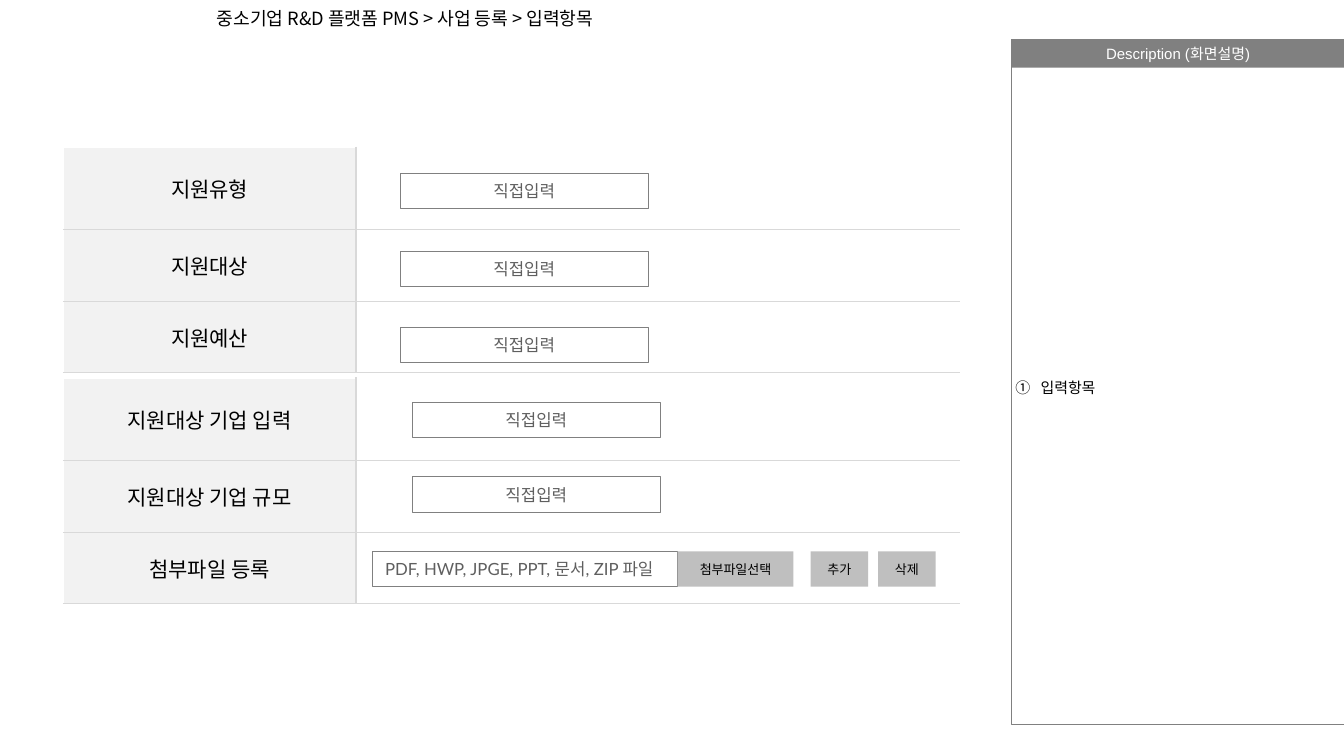
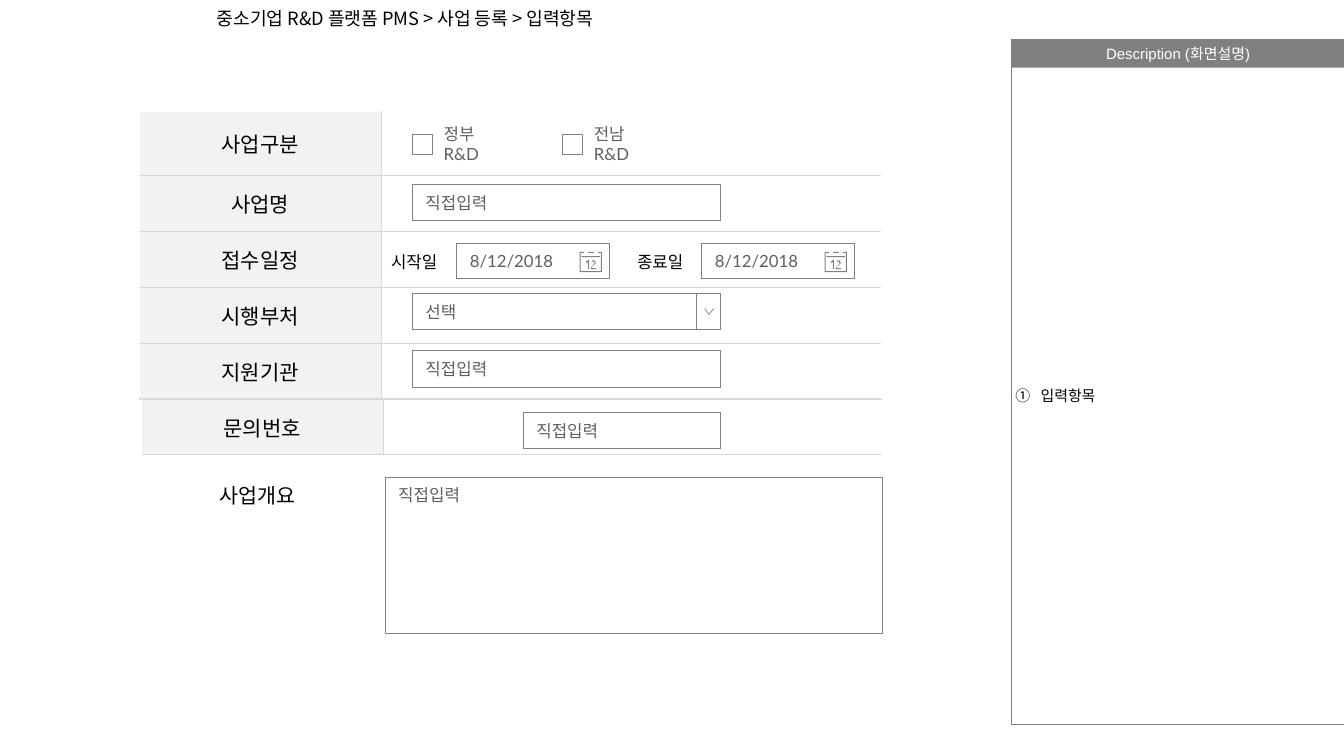
import pptx
import pptx.dml.color
import pptx.enum.shapes
import pptx.enum.text
import pptx.oxml
import pptx.oxml.ns
import pptx.util
from lxml import etree

Inches = pptx.util.Inches
Pt = pptx.util.Pt
RGBColor = pptx.dml.color.RGBColor
ALIGN = pptx.enum.text.PP_ALIGN
ANCHOR = pptx.enum.text.MSO_ANCHOR
RECTANGLE = pptx.enum.shapes.MSO_SHAPE.RECTANGLE
qn = pptx.oxml.ns.qn

BLACK = RGBColor(0x00, 0x00, 0x00)
WHITE = RGBColor(0xFF, 0xFF, 0xFF)
GRAY = RGBColor(0x80, 0x80, 0x80)
FIELD_TEXT = RGBColor(0x5F, 0x5F, 0x5F)
LABEL_FILL = RGBColor(0xF2, 0xF2, 0xF2)
BUTTON_FILL = RGBColor(0xBF, 0xBF, 0xBF)
TABLE_LINE = RGBColor(0xD9, 0xD9, 0xD9)
KOREAN_FONT = "Noto Sans CJK KR"
FIELD_FONT = "Lato"

BREADCRUMB = "중소기업 R&D 플랫폼 PMS > 사업 등록 > 입력항목"
ENTER = "직접입력"


def set_text(frame, text, size, color=BLACK, font=KOREAN_FONT, align=ALIGN.LEFT,
             anchor=ANCHOR.MIDDLE):
    """Fill a text frame with one paragraph and format it for Latin and Korean."""
    frame.text = text
    frame.vertical_anchor = anchor
    paragraph = frame.paragraphs[0]
    paragraph.alignment = align
    for run in paragraph.runs:
        run.font.size = Pt(size)
        run.font.color.rgb = color
        run.font.name = font
        properties = run._r.get_or_add_rPr()
        etree.SubElement(properties, qn("a:ea"), typeface=KOREAN_FONT)


def add_box(slide, position, text="", fill=WHITE, line=GRAY, weight=0.5, size=12,
            color=FIELD_TEXT, font=FIELD_FONT, align=ALIGN.LEFT, anchor=ANCHOR.MIDDLE,
            margins=(0.13, 0.07, 0.13, 0.07), wrap=True):
    """Add a rectangle; fill or line may be None, margins run left, top, right, bottom."""
    shape = slide.shapes.add_shape(RECTANGLE, *map(Inches, position))
    shape.shadow.inherit = False
    if fill is None:
        shape.fill.background()
    else:
        shape.fill.solid()
        shape.fill.fore_color.rgb = fill
    if line is None:
        shape.line.fill.background()
    else:
        shape.line.color.rgb = line
        shape.line.width = Pt(weight)
    frame = shape.text_frame
    frame.word_wrap = wrap
    frame.margin_left, frame.margin_top, frame.margin_right, frame.margin_bottom = map(
        Inches, margins)
    if text:
        set_text(frame, text, size, color, font, align, anchor)
    return shape


presentation = pptx.Presentation()
presentation.slide_width = Inches(13.33)
presentation.slide_height = Inches(7.5)

# Shared layout: title place and description panel
layout = presentation.slide_layouts[5]
for placeholder in list(layout.placeholders):
    if placeholder.placeholder_format.idx != 0:
        placeholder.element.getparent().remove(placeholder.element)
basics_slide = presentation.slides.add_slide(layout)
details_slide = presentation.slides.add_slide(layout)
panel_header = add_box(basics_slide, (10.03, 0.39, 3.31, 0.28), "Description (화면설명)",
                       fill=GRAY, line=None, size=10.7, color=WHITE, font="Arial",
                       align=ALIGN.CENTER, wrap=False)
panel_frame = add_box(basics_slide, (10.03, 0.39, 3.31, 6.8), fill=None, weight=0.75)
for shape in (panel_header, panel_frame):
    layout.shapes.element.append(shape.element)

# Title and numbered description
for slide, note_top in ((basics_slide, 0.59), (details_slide, 0.67)):
    title = slide.shapes.title
    title.left, title.top, title.width, title.height = map(Inches, (2.05, 0, 7.87, 0.39))
    set_text(title.text_frame, BREADCRUMB, 13)
    title.text_frame.paragraphs[0].line_spacing = 0.9

    note = slide.shapes.add_textbox(*map(Inches, (10.03, note_top, 3.31, 6.54)))
    frame = note.text_frame
    frame.word_wrap = True
    frame.margin_left, frame.margin_right = Inches(0.04), 0
    set_text(frame, "입력항목", 10.7)
    paragraph = frame.paragraphs[0]
    paragraph.line_spacing = 0.9
    paragraph.space_before = Pt(10)
    properties = paragraph._p.get_or_add_pPr()
    properties.set("marL", str(Inches(0.25)))
    properties.set("indent", str(-Inches(0.25)))
    etree.SubElement(properties, qn("a:buFont"), typeface=KOREAN_FONT)
    etree.SubElement(properties, qn("a:buAutoNum"), type="circleNumDbPlain")

# Form tables: slide, left, top, column widths, first row height, other rows, labels
form_tables = [
    (basics_slide, 0.63, 1.46, (2.9, 5.99), 0.82, 0.71,
     ["지원유형", "지원대상", "지원예산"]),
    (basics_slide, 0.63, 3.75, (2.9, 5.99), 0.82, 0.71,
     ["지원대상 기업 입력", "지원대상 기업 규모", "첨부파일 등록"]),
    (details_slide, 1.38, 1.11, (2.4, 4.95), 0.63, 2.22 / 4,
     ["사업구분", "사업명", "접수일정", "시행부처", "지원기관"]),
    (details_slide, 1.4, 3.96, (2.4, 4.95), 0.55, 0.55, ["문의번호"]),
]
for slide, left, top, widths, first_height, other_height, labels in form_tables:
    heights = [first_height] + [other_height] * (len(labels) - 1)
    table = slide.shapes.add_table(
        len(labels), 2, Inches(left), Inches(top), Inches(sum(widths)),
        Inches(sum(heights))).table
    table.first_row = False
    table.horz_banding = False
    for column, width in zip(table.columns, widths):
        column.width = Inches(width)
    for row_index, (label, height) in enumerate(zip(labels, heights)):
        table.rows[row_index].height = Inches(height)
        for column_index in range(2):
            cell = table.cell(row_index, column_index)
            cell.margin_left = cell.margin_right = Inches(0.13)
            cell.margin_top = cell.margin_bottom = Inches(0.07)
            sides = ["a:lnR" if column_index == 0 else "a:lnL"]
            if row_index > 0 or len(labels) == 1:
                sides.append("a:lnT")
            sides.append("a:lnB")
            for side in sides:
                border = etree.SubElement(cell._tc.get_or_add_tcPr(), qn(side),
                                          w=str(Pt(1)))
                solid = etree.SubElement(border, qn("a:solidFill"))
                etree.SubElement(solid, qn("a:srgbClr"), val=str(TABLE_LINE))
            if column_index == 0:
                cell.fill.solid()
                cell.fill.fore_color.rgb = LABEL_FILL
                set_text(cell.text_frame, label, 15, align=ALIGN.CENTER)
                cell.vertical_anchor = ANCHOR.MIDDLE
            else:
                cell.fill.background()

# Slide 1: input fields and file buttons
for left, top in ((3.97, 1.72), (3.97, 2.49), (3.97, 3.25), (4.09, 3.99), (4.09, 4.73)):
    add_box(basics_slide, (left, top, 2.46, 0.35), ENTER, align=ALIGN.CENTER)
add_box(basics_slide, (3.69, 5.47, 3.03, 0.35), "PDF, HWP, JPGE, PPT, 문서, ZIP 파일")
for left, width, text in ((6.72, 1.15, "첨부파일선택"), (8.04, 0.57, "추가"),
                          (8.71, 0.57, "삭제")):
    add_box(basics_slide, (left, 5.47, width, 0.35), text, fill=BUTTON_FILL, line=None,
            size=9.3, color=BLACK, font=KOREAN_FONT, align=ALIGN.CENTER,
            margins=(0.1, 0.05, 0.1, 0.05))

# Slide 2: check boxes
for left, text in ((4.09, "정부R&D"), (5.58, "전남R&D")):
    add_box(details_slide, (left, 1.33, 0.2, 0.2))
    add_box(details_slide, (left + 0.2, 1.27, 0.8, 0.31), text, fill=None, line=None,
            margins=(0.11, 0.05, 0.11, 0.05))

# Slide 2: input fields
for left, top, width, text in ((4.09, 1.83, 3.06, ENTER), (4.09, 2.91, 2.82, "선택"),
                               (4.09, 3.48, 3.06, ENTER), (5.19, 4.09, 1.96, ENTER)):
    add_box(details_slide, (left, top, width, 0.36), text)
add_box(details_slide, (3.82, 4.74, 4.93, 1.54), ENTER, anchor=ANCHOR.TOP)

# Slide 2: drop-down button
add_box(details_slide, (6.91, 2.91, 0.24, 0.36))
builder = details_slide.shapes.build_freeform(0, 0, scale=Inches(0.01))
builder.add_line_segments([(4.5, 5.5), (9, 0)], close=False)
chevron = builder.convert_to_shape(Inches(6.99), Inches(3.06))
chevron.shadow.inherit = False
chevron.fill.background()
chevron.line.color.rgb = GRAY
chevron.line.width = Pt(0.5)

# Slide 2: date fields; calendar outlines are in hundredths of an inch
calendar_outlines = [
    [(0, 2), (0, 22), (22, 22), (22, 2), (17.5, 2), (17.5, 3), (21, 3), (21, 21),
     (1, 21), (1, 3), (4.5, 3), (4.5, 2)],
    [(5.5, 0), (5.5, 4), (6.3, 4), (6.3, 0)],
    [(15.7, 0), (15.7, 4), (16.5, 4), (16.5, 0)],
    [(7.5, 2), (7.5, 3), (14.5, 3), (14.5, 2)],
    [(2, 6), (2, 7), (20, 7), (20, 6)],
    [(8, 10.3), (6, 11.7), (6, 12.7), (8, 11.8), (8, 18.7), (9, 18.7), (9, 10.3)],
    [(11.5, 11.2), (13.5, 10.3), (15.3, 11), (16, 12.6), (15.3, 14.5), (12.5, 17.2),
     (12.3, 17.8), (16.2, 17.8), (16.2, 18.7), (11.2, 18.7), (11.2, 17.5),
     (14.4, 14.2), (15, 12.6), (14.5, 11.6), (13.5, 11.2), (11.5, 12.3)],
]
for left, text in ((3.78, "시작일"), (6.22, "종료일")):
    add_box(details_slide, (left, 2.45, 0.71, 0.3), text, fill=None, line=None,
            color=BLACK, font=KOREAN_FONT, anchor=ANCHOR.TOP,
            margins=(0.1, 0.05, 0.1, 0.05), wrap=False)
for left in (4.53, 6.96):
    add_box(details_slide, (left, 2.41, 1.51, 0.35), "8/12/2018",
            margins=(0.13, 0.07, 0.33, 0.07))
    builder = details_slide.shapes.build_freeform(*calendar_outlines[0][0],
                                                  scale=Inches(0.01))
    builder.add_line_segments(calendar_outlines[0][1:])
    for outline in calendar_outlines[1:]:
        builder.move_to(*outline[0])
        builder.add_line_segments(outline[1:])
    calendar = builder.convert_to_shape(Inches(left + 1.22), Inches(2.48))
    calendar.shadow.inherit = False
    calendar.fill.solid()
    calendar.fill.fore_color.rgb = GRAY
    calendar.line.fill.background()

# Slide 2: overview label
add_box(details_slide, (2.08, 4.74, 1.02, 0.35), "사업개요", fill=None, line=None,
        size=14.7, color=BLACK, font=KOREAN_FONT, anchor=ANCHOR.TOP,
        margins=(0.1, 0.05, 0.1, 0.05), wrap=False)

presentation.save("out.pptx")
